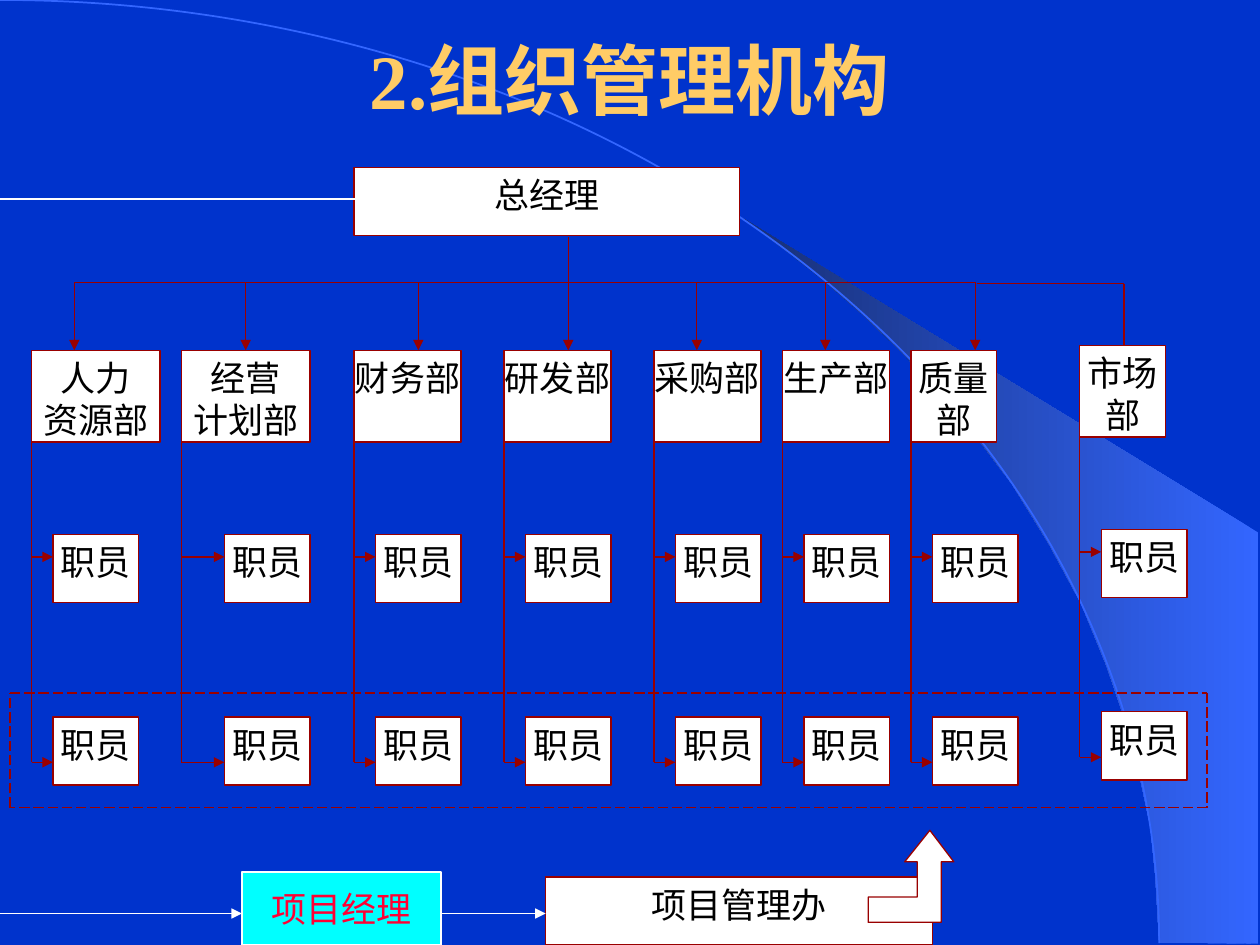
from dataclasses import dataclass

from lxml import etree
from pptx import Presentation
from pptx.dml.color import RGBColor
from pptx.enum.dml import MSO_LINE
from pptx.enum.shapes import MSO_CONNECTOR, MSO_SHAPE
from pptx.enum.text import MSO_ANCHOR, PP_ALIGN
from pptx.oxml.ns import qn
from pptx.util import Inches, Pt

RECT, ARC = MSO_SHAPE.RECTANGLE, MSO_SHAPE.ARC
STRAIGHT = MSO_CONNECTOR.STRAIGHT
DASH = MSO_LINE.LONG_DASH
TOP, MIDDLE = MSO_ANCHOR.TOP, MSO_ANCHOR.MIDDLE
CENTER = PP_ALIGN.CENTER


@dataclass(frozen=True)
class Theme:
    """Hold the colours, font and sizes of the slide."""
    back: str = "0033CC"
    glow: str = "3366FF"
    shade: str = "172F75"
    gold: str = "FFCC66"
    white: str = "FFFFFF"
    black: str = "000000"
    maroon: str = "990000"
    cyan: str = "00FFFF"
    red: str = "FF0033"
    font: str = "Times New Roman"
    title: int = 44
    body: int = 20
    thin: float = 0.75
    arc: float = 1


THEME = Theme()
BUS, DEPT, STAFF = 2.24, 2.78, (4.24, 5.69)
JOINS = (4.42, 6.05)
SWEEP = [
    (9.2, 7.48), (9.99, 7.49), (9.99, 4.23), (5.89, 1.73), (6.24, 1.99),
    (6.53, 2.22), (6.85, 2.5), (7.16, 2.8), (7.62, 3.3), (8.03, 3.84),
    (8.32, 4.31), (8.58, 4.79), (8.78, 5.28), (8.93, 5.72), (9.03, 6.09),
    (9.13, 6.56), (9.17, 6.96),
]
BEND = [
    (6.89, 7.12), (7.28, 7.12), (7.28, 6.84), (7.18, 6.84), (7.38, 6.59),
    (7.57, 6.84), (7.47, 6.84), (7.47, 7.32), (6.89, 7.32),
]
UNITS = [
    ("人力\n资源部", 0.25, 1.02, 0.17, 3.51),
    ("经营\n计划部", 1.44, 1.02, 0.34, 3.51),
    ("财务部", 2.81, 0.85, 0.17, 3.51),
    ("研发部", 4, 0.85, 0.17, 3.33),
    ("采购部", 5.19, 0.85, 0.17, 3.33),
    ("生产部", 6.21, 0.85, 0.17, 3.51),
    ("质量部", 7.23, 0.68, 0.17, 3.51),
]
DROPS = [0.59, 1.95, 3.32, 4.51, 5.53, 6.55, 7.74]
FRAME = [(0.08, 5.5), (9.58, 5.5), (9.58, 6.41), (0.08, 6.41), (0.08, 5.5)]


def tint(code):
    """Turn a hex code into a colour."""
    return RGBColor.from_string(code)


def write(shape, text, size, color, side=0.1, anchor=TOP, bold=False, wrap=True):
    """Fill a shape with centred text, one paragraph a line."""
    frame = shape.text_frame
    frame.word_wrap = wrap
    frame.vertical_anchor = anchor
    frame.margin_left = frame.margin_right = Inches(side)
    frame.margin_top = frame.margin_bottom = Inches(0.05)
    for i, line in enumerate(text.split("\n")):
        para = frame.add_paragraph() if i else frame.paragraphs[0]
        para.alignment = CENTER
        run = para.add_run()
        run.text = line
        run.font.name = THEME.font
        run.font.size = Pt(size)
        run.font.bold = bold
        run.font.color.rgb = tint(color)


def paint(shape, fill, edge):
    """Give a shape a plain fill and a thin edge."""
    shape.shadow.inherit = False
    shape.fill.solid()
    shape.fill.fore_color.rgb = tint(fill)
    shape.line.color.rgb = tint(edge)
    shape.line.width = Pt(THEME.thin)


def box(slide, text, area, side=0.1, fill=THEME.white, edge=THEME.maroon,
        color=THEME.black, **style):
    """Draw a labelled box."""
    shape = slide.shapes.add_shape(RECT, *map(Inches, area))
    paint(shape, fill, edge)
    write(shape, text, THEME.body, color, side, **style)


def link(slide, start, end, color=THEME.maroon, arrow=False, dash=None):
    """Draw a straight line, with an arrowhead at its end if asked."""
    line = slide.shapes.add_connector(STRAIGHT, *map(Inches, (*start, *end)))
    line.line.color.rgb = tint(color)
    line.line.width = Pt(THEME.thin)
    if dash:
        line.line.dash_style = dash
    if arrow:
        etree.SubElement(line.line._get_or_add_ln(), qn("a:tailEnd"), type="triangle")
    etree.SubElement(line._element.spPr, qn("a:effectLst"))


def trace(slide, points):
    """Draw a closed outline through the points."""
    spots = [(Inches(x), Inches(y)) for x, y in points]
    pen = slide.shapes.build_freeform(*spots[0])
    pen.add_line_segments(spots[1:], close=True)
    return pen.convert_to_shape()


def decor(slide):
    """Draw the shaded sweep and the arc behind the chart."""
    sweep = trace(slide, SWEEP)
    sweep.shadow.inherit = False
    sweep.fill.gradient()
    sweep.fill.gradient_angle = 180
    for stop, code in zip(sweep.fill.gradient_stops, (THEME.glow, THEME.shade)):
        stop.color.rgb = tint(code)
    sweep.line.fill.background()
    arc = slide.shapes.add_shape(ARC, *map(Inches, (-9.2, 0, 18.4, 14.97)))
    arc.shadow.inherit = False
    arc.fill.background()
    arc.line.color.rgb = tint(THEME.glow)
    arc.line.width = Pt(THEME.arc)


def unit(slide, name, left, width, indent, stem, lift=0):
    """Draw a department with its stem and two staff boxes."""
    box(slide, name, (left, DEPT - lift, width, 0.73), 0)
    link(slide, (left, stem - lift), (left, JOINS[-1] - lift))
    for top, join in zip(STAFF, JOINS):
        box(slide, "职员", (left + indent, top - lift, 0.68, 0.54), 0)
        link(slide, (left, join - lift), (left + indent, join - lift), arrow=True)


def main():
    """Build and save the slide."""
    deck = Presentation()
    deck.slide_width, deck.slide_height = Inches(10), Inches(7.5)
    slide = deck.slides.add_slide(deck.slide_layouts[6])
    slide.background.fill.solid()
    slide.background.fill.fore_color.rgb = tint(THEME.back)
    decor(slide)
    title = slide.shapes.add_textbox(*map(Inches, (0.75, 0, 8.5, 1.25)))
    write(title, "2.组织管理机构", THEME.title, THEME.gold, anchor=MIDDLE, bold=True)

    box(slide, "总经理", (2.81, 1.33, 3.06, 0.54))
    link(slide, (DROPS[0], BUS), (DROPS[-1], BUS))
    for x in DROPS:
        link(slide, (x, BUS), (x, DEPT), arrow=True)
    link(slide, (4.51, 1.88), (4.51, BUS))
    for row in UNITS:
        unit(slide, *row)
    for start, end in zip(FRAME, FRAME[1:]):
        link(slide, start, end, dash=DASH)

    box(slide, "项目管理办", (4.33, 6.96, 3.07, 0.54))
    paint(trace(slide, BEND), THEME.white, THEME.maroon)
    link(slide, (7.75, 2.25), (8.92, 2.25))
    link(slide, (8.92, 2.25), (8.92, 2.75))
    unit(slide, "市场部", 8.57, 0.68, 0.17, 3.51, lift=0.04)

    box(slide, "项目经理", (1.92, 6.92, 1.58, 0.58), fill=THEME.cyan,
        edge=THEME.white, color=THEME.red, anchor=MIDDLE, wrap=False)
    link(slide, (3.5, 7.25), (4.33, 7.25), THEME.white, arrow=True)
    link(slide, (0, 7.25), (1.92, 7.25), THEME.white, arrow=True)
    link(slide, (0, 1.58), (2.83, 1.58), THEME.white)
    deck.save("out.pptx")


if __name__ == "__main__":
    main()
